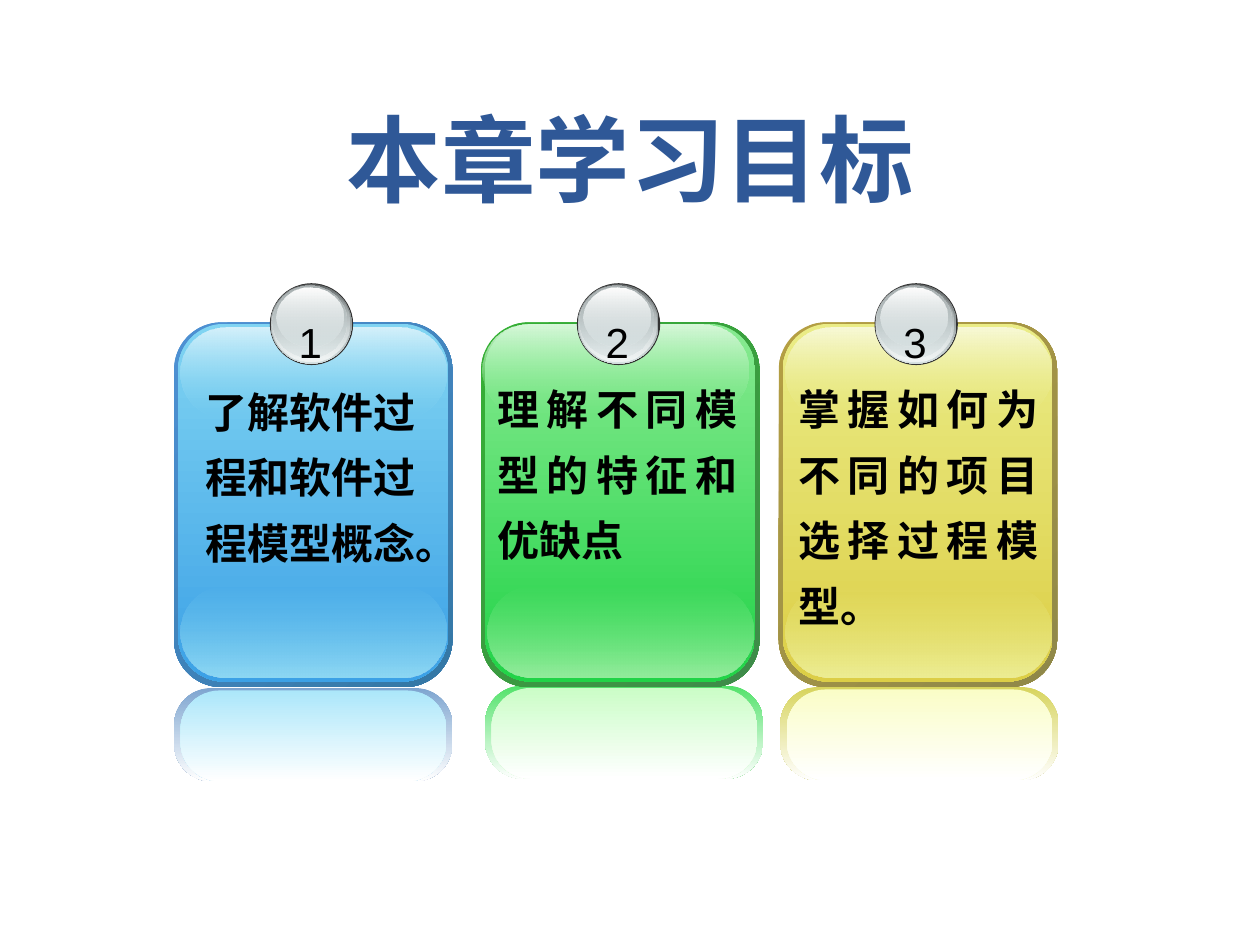
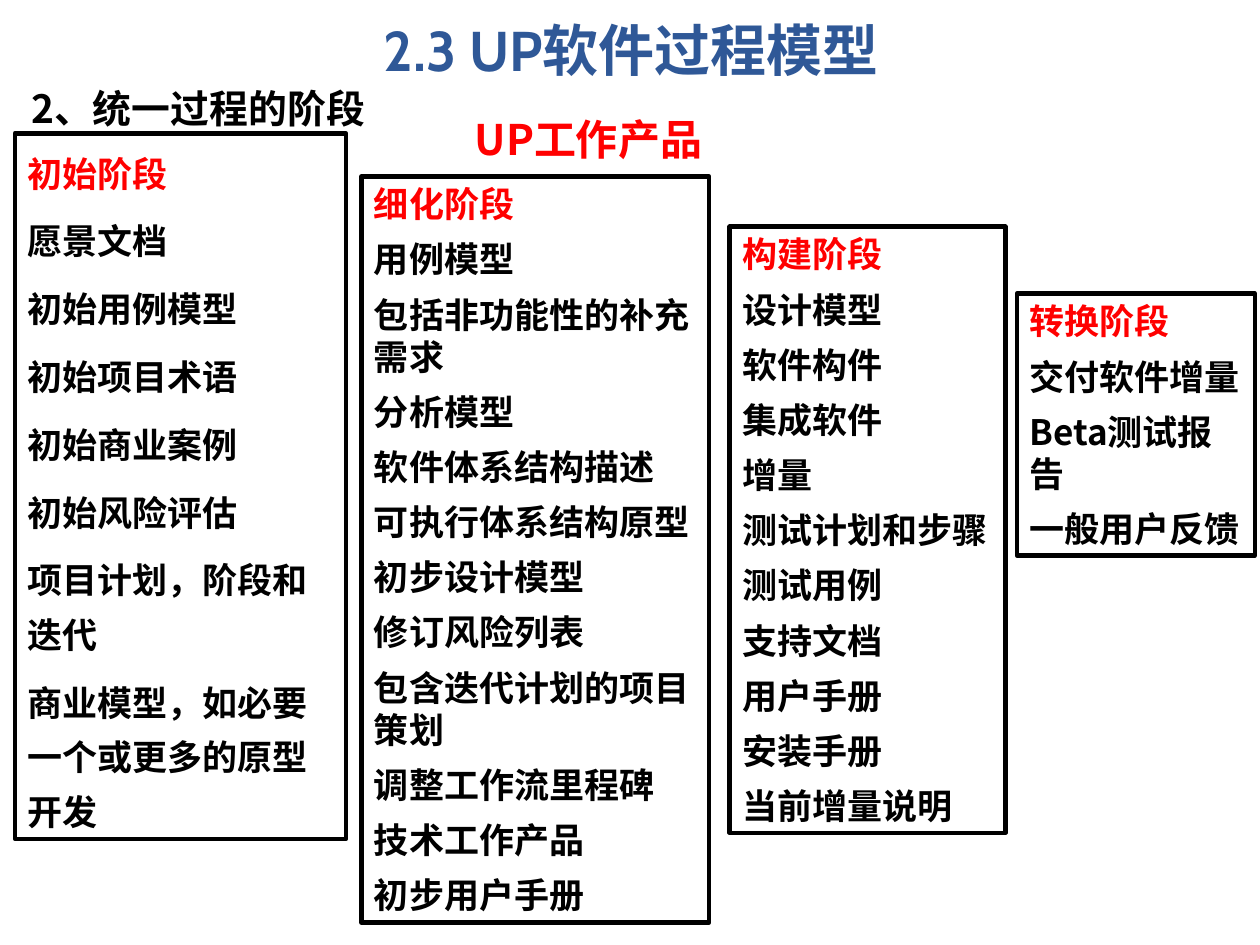
from pptx import Presentation
from pptx import util as u
from pptx.dml.color import RGBColor
from pptx.enum import shapes, text
from pptx.oxml import ns
from lxml import etree

TITLE_BLUE = RGBColor(0x2F, 0x58, 0x97)
RED = RGBColor(0xFF, 0, 0)
BLACK = RGBColor(0, 0, 0)
WHITE = RGBColor(0xFF, 0xFF, 0xFF)
RIM = RGBColor(0x33, 0x33, 0x33)
STEEL = RGBColor(0x63, 0x68, 0x69)
SILVER = RGBColor(0xD6, 0xE1, 0xE2)
PEARL = RGBColor(0xF1, 0xF5, 0xF5)
GREY = RGBColor(0xAA, 0xB2, 0xB3)

CJK = "Noto Sans CJK SC"
TITLE_FONT = "Cabin"
TITLE_SPACING = u.Pt(58)
LEFT, CENTER, JUSTIFY = text.PP_ALIGN.LEFT, text.PP_ALIGN.CENTER, text.PP_ALIGN.JUSTIFY
ROUND = shapes.MSO_SHAPE.ROUNDED_RECTANGLE
OVAL = shapes.MSO_SHAPE.OVAL

BADGE_RINGS = [
    ((0.02, 0.02, 1.63, 1.6), (STEEL, 100), (SILVER, 100)),
    ((0.03, 0.03, 1.57, 1.55), (SILVER, 0), (PEARL, 100)),
    ((0.05, 0.05, 1.5, 1.45), (GREY, 100), (SILVER, 48)),
    ((0.13, 0.08, 1.35, 1.19), (WHITE, 100), (SILVER, 38)),
]


def palette(*codes):
    names = ("edge_start", "edge_end", "face_start", "face_end", "top_shine",
             "bottom_shine", "mirror_edge", "mirror_face")
    return {name: RGBColor.from_string(code) for name, code in zip(names, codes)}


BLUE_CARD = palette("4E91D4", "3477A4", "80D4F2", "3CA1E6",
                    "D5F1FB", "8FD9F4", "7EA5D0", "ACE7FA")
GREEN_CARD = palette("34B034", "3F8B4A", "88EA91", "21D347",
                     "D7F8DA", "96ED9E", "52E26A", "CBFDC7")
YELLOW_CARD = palette("B59F43", "8F8849", "EAEC86", "DCCE46",
                      "F8F9D7", "EDEE95", "D7D45D", "FAFDC7")

GOALS = [
    dict(left=3.51, colors=BLUE_CARD, shine=(0.13, 0.1), mirror=(0, 7.37),
         wording="了解软件过程和软件过程模型概念。", offset=(0.08, 0.86),
         font=CJK, align=CENTER),
    dict(left=9.7, colors=GREEN_CARD, shine=(0.03, 0.05), mirror=(0.08, 7.32),
         wording="理解不同模型的特征和优缺点", offset=(0.08, 0.81),
         font="Courier New", align=JUSTIFY),
    dict(left=15.7, colors=YELLOW_CARD, shine=(0.13, 0.1), mirror=(0.03, 7.35),
         wording="掌握如何为不同的项目选择过程模型。", offset=(0.15, 0.81),
         font="Courier New", align=JUSTIFY),
]

PHASES = [
    ((0.3, 2.69, 6.68, 14.22), 1.3,
     ["初始阶段", "愿景文档", "初始用例模型", "初始项目术语", "初始商业案例",
      "初始风险评估", "项目计划，阶段和迭代", "商业模型，如必要一个或更多的原型开发"]),
    ((7.29, 3.56, 7.01, 15.04), 1.0,
     ["细化阶段", "用例模型", "包括非功能性的补充需求", "分析模型",
      "软件体系结构描述", "可执行体系结构原型", "初步设计模型", "修订风险列表",
      "包含迭代计划的项目策划", "调整工作流里程碑", "技术工作产品", "初步用户手册"]),
    ((14.71, 4.57, 5.56, 12.22), 1.0,
     ["构建阶段", "设计模型", "软件构件", "集成软件", "增量", "测试计划和步骤",
      "测试用例", "支持文档", "用户手册", "安装手册", "当前增量说明"]),
    ((20.5, 5.92, 4.8, 5.28), 1.0,
     ["转换阶段", "交付软件增量", "Beta测试报告", "一般用户反馈"]),
]


def lengths(box):
    return [u.Cm(value) for value in box]


def within(origin, box):
    return (origin[0] + box[0], origin[1] + box[1], *box[2:])


def format_paragraph(paragraph, size, color, font=CJK, bold=True, align=LEFT, spacing=1.0):
    paragraph.alignment = align
    paragraph.line_spacing = spacing
    for run in paragraph.runs:
        run.font.size = u.Pt(size)
        run.font.bold = bold
        run.font.name = font
        run.font.color.rgb = color
        latin = run.font._element.find(ns.qn("a:latin"))
        east_asian = etree.Element(ns.qn("a:ea"), typeface=CJK)
        latin.addnext(east_asian)


def add_text(slide, box, wording, size, color, wrap=True, grow=False, bottom=False, **style):
    shape = slide.shapes.add_textbox(*lengths(box))
    frame = shape.text_frame
    frame.text = wording
    frame.word_wrap = wrap
    frame.auto_size = text.MSO_AUTO_SIZE.SHAPE_TO_FIT_TEXT if grow else text.MSO_AUTO_SIZE.NONE
    frame.vertical_anchor = text.MSO_ANCHOR.BOTTOM if bottom else text.MSO_ANCHOR.TOP
    format_paragraph(frame.paragraphs[0], size, color, **style)


def set_title(slide, box, wording, size, color, font):
    title = slide.shapes.title
    title.left, title.top, title.width, title.height = lengths(box)
    frame = title.text_frame
    frame.text = wording
    frame.auto_size = text.MSO_AUTO_SIZE.NONE
    frame.vertical_anchor = text.MSO_ANCHOR.BOTTOM
    format_paragraph(frame.paragraphs[0], size, color, font, align=CENTER, spacing=TITLE_SPACING)


def add_plain(slide, kind, box):
    shape = slide.shapes.add_shape(kind, *lengths(box))
    shape.shadow.inherit = False
    shape.line.fill.background()
    return shape


def add_gradient(slide, kind, box, start, end, corner=None, clockwise=90):
    shape = add_plain(slide, kind, box)
    if corner is not None:
        shape.adjustments[0] = corner
    shape.fill.gradient()
    shape.fill.gradient_angle = 360 - clockwise
    stops = shape.fill.gradient_stops
    for position, (stop, (color, _)) in enumerate(zip(stops, (start, end))):
        stop.color.rgb = color
        stop.position = position
    for element, (_, opacity) in zip(shape._element.xpath(".//a:gs/a:srgbClr"), (start, end)):
        if opacity < 100:
            etree.SubElement(element, ns.qn("a:alpha"), val=str(opacity * 1000))


def add_badge(slide, origin, number):
    rim = add_plain(slide, OVAL, within(origin, (0, 0, 1.68, 1.65)))
    rim.fill.solid()
    rim.fill.fore_color.rgb = RIM
    for box, start, end in BADGE_RINGS:
        add_gradient(slide, OVAL, within(origin, box), start, end)
    add_text(slide, within(origin, (0.33, 0.25, 0.97, 1.57)), str(number), 24, BLACK,
             wrap=False, grow=True, font="Arial", bold=False, align=CENTER, spacing=1.3)


def add_goal_card(slide, number, goal, top=6.5):
    origin = (goal["left"], top)
    colors = goal["colors"]
    mirror_x, mirror_y = goal["mirror"]
    layers = [
        ((mirror_x, mirror_y, 5.61, 1.88), "mirror_edge", None, 0.4, 90),
        ((mirror_x + 0.13, mirror_y + 0.05, 5.36, 1.83), "mirror_face", None, 0.43, 90),
        ((0, 0, 5.61, 7.35), "edge_start", "edge_end", 0.17, 45),
        ((0.08, 0.03, 5.44, 7.21), "face_start", "face_end", 0.17, 90),
    ]
    for box, start, end, corner, angle in layers:
        add_gradient(slide, ROUND, within(origin, box), (colors[start], 100),
                     (colors.get(end, WHITE), 100), corner, angle)
    clear = (colors["face_start"], 0)
    add_gradient(slide, ROUND, within(origin, (0.13, 5.33, 5.36, 1.83)),
                 clear, (colors["bottom_shine"], 100), 0.5)
    add_gradient(slide, ROUND, within(origin, (*goal["shine"], 5.36, 1.82)),
                 (colors["top_shine"], 100), clear, 0.5)
    add_badge(slide, within(origin, (1.93, -0.79)), number)
    add_text(slide, within(origin, (*goal["offset"], 5.33, 5.54)), goal["wording"], 24, BLACK,
             grow=True, font=goal["font"], align=goal["align"], spacing=1.3)


def add_phase_box(slide, box, spacing, items):
    shape = slide.shapes.add_shape(shapes.MSO_SHAPE.RECTANGLE, *lengths(box))
    shape.shadow.inherit = False
    shape.fill.solid()
    shape.fill.fore_color.rgb = WHITE
    shape.line.color.rgb = BLACK
    shape.line.width = u.Pt(2.5)
    frame = shape.text_frame
    frame.text = "\n".join(items)
    frame.word_wrap = True
    frame.auto_size = text.MSO_AUTO_SIZE.SHAPE_TO_FIT_TEXT
    frame.vertical_anchor = text.MSO_ANCHOR.TOP
    for index, paragraph in enumerate(frame.paragraphs):
        format_paragraph(paragraph, 20, BLACK if index else RED, spacing=spacing)
        if index:
            paragraph.space_before = u.Pt(7.5)


def build_goals(slide):
    set_title(slide, (1.27, 0, 22.86, 4.45), "本章学习目标", 54, TITLE_BLUE, TITLE_FONT)
    for number, goal in enumerate(GOALS, 1):
        add_goal_card(slide, number, goal)


def build_phases(slide):
    set_title(slide, (0.43, 1.98, 22.86, 1.45), "UP工作产品", 24, RED, CJK)
    for box, spacing, items in PHASES:
        add_phase_box(slide, box, spacing, items)
    add_text(slide, (0.38, 0.71, 8.79, 2.06), "2、统一过程的阶段", 22.2, BLACK,
             bottom=True, spacing=TITLE_SPACING)
    add_text(slide, (1.3, -0.38, 22.86, 2.18), "2.3 UP软件过程模型", 32, TITLE_BLUE,
             bottom=True, font=TITLE_FONT, align=CENTER, spacing=TITLE_SPACING)


def main():
    presentation = Presentation()
    presentation.slide_width, presentation.slide_height = u.Cm(25.4), u.Cm(19.05)
    title_only = presentation.slide_layouts[5]
    for build in (build_goals, build_phases):
        build(presentation.slides.add_slide(title_only))
    presentation.save("out.pptx")


if __name__ == "__main__":
    main()
